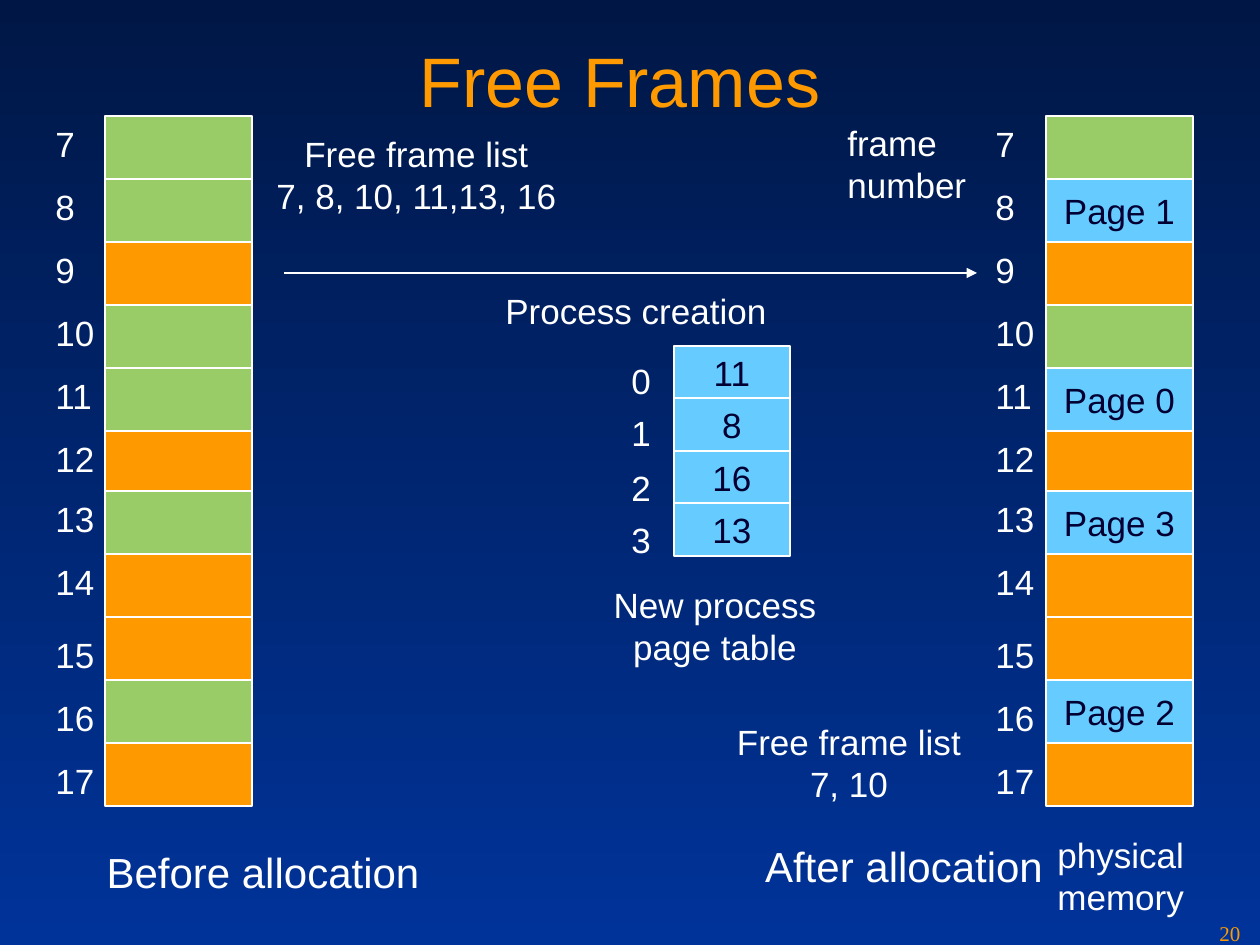
from pptx import Presentation
from pptx.dml.color import RGBColor
from pptx.enum.shapes import MSO_CONNECTOR, MSO_SHAPE
from pptx.enum.text import MSO_ANCHOR, MSO_AUTO_SIZE, PP_ALIGN
from pptx.oxml.ns import qn
from pptx.util import Pt
from lxml.etree import SubElement

PX = 914400 / 126
WHITE, NAVY, ORANGE, GREEN, BLUE = "FFFFFF", "000033", "FE9900", "99CC66", "66CCFF"
LEFT, MID = PP_ALIGN.LEFT, PP_ALIGN.CENTER

TITLE = "Free Frames"
FIRST = 7
FREE = {7, 8, 10, 11, 13, 16}
PAGES = {8: "Page 1", 11: "Page 0", 13: "Page 3", 16: "Page 2"}
COLUMNS = [(105, 43, {}), (1046, 983, PAGES)]
ENTRIES = ["11", "8", "16", "13"]
NOTES = [
    ("Before allocation", 90, 840, 346, 63, 24, MID),
    ("After allocation", 744, 834, 320, 63, 24, MID),
    ("physical\nmemory", 1045, 827, 166, 97, 20, LEFT),
    ("frame\nnumber", 835, 115, 152, 97, 20, LEFT),
    ("Free frame list\n7, 8, 10, 11,13, 16", 259, 126, 315, 97, 20, MID),
    ("Free frame list\n7, 10", 720, 714, 258, 97, 20, MID),
    ("New process\npage table", 597, 577, 236, 97, 20, MID),
    ("Process creation", 493, 283, 294, 55, 20, LEFT),
]


def px(*sizes):
    return [round(size * PX) for size in sizes]


def rgb(code):
    return RGBColor.from_string(code)


def write(frame, text, size, color, align, face="Arial"):
    para = frame.paragraphs[0]
    para.text = text
    para.alignment = align
    font = para.font
    font.name, font.size = face, Pt(size)
    font.color.rgb = rgb(color)


def label(text, x, y, w, h, size=20, align=LEFT):
    frame = slide.shapes.add_textbox(*px(x, y, w, h)).text_frame
    frame.word_wrap = False
    frame.auto_size = MSO_AUTO_SIZE.SHAPE_TO_FIT_TEXT
    write(frame, text, size, WHITE, align)


def cell(x, y, w, h, fill, text=""):
    box = slide.shapes.add_shape(MSO_SHAPE.RECTANGLE, *px(x, y, w, h))
    box.shadow.inherit = False
    box.fill.solid()
    box.fill.fore_color.rgb = rgb(fill)
    box.line.color.rgb = rgb(WHITE)
    box.line.width = Pt(0.75)
    if text:
        frame = box.text_frame
        frame.word_wrap = False
        frame.vertical_anchor = MSO_ANCHOR.MIDDLE
        write(frame, text, 20, NAVY, MID)


deck = Presentation()
deck.slide_width, deck.slide_height = px(1260, 945)
slide = deck.slides.add_slide(deck.slide_layouts[5])

back = slide.background.fill
back.gradient()
back.gradient_angle = 270
for stop, code, place in zip(back.gradient_stops, ("001746", "003399"), (0, 1)):
    stop.color.rgb = rgb(code)
    stop.position = place

title = slide.shapes.title
title.left, title.top, title.width, title.height = px(53, 31, 1134, 158)
title.text_frame.vertical_anchor = MSO_ANCHOR.TOP
write(title.text_frame, TITLE, 40, ORANGE, MID)

for left, side, pages in COLUMNS:
    for row in range(11):
        num = FIRST + row
        top = 116 + 63 * row - 3 * (row > 5)
        fill = BLUE if num in pages else GREEN if num in FREE else ORANGE
        cell(left, top, 147, 63, fill, pages.get(num, ""))
        label(str(num), side, top + 10 * (row > 7), 70 if num > 9 else 50, 55)

for row, entry in enumerate(ENTRIES):
    top = 346 + row * 105 // 2
    cell(674, top, 116, 53, BLUE, entry)
    label(str(row), 619, top + 7 + 2 * (row > 1), 50, 55)

for note in NOTES:
    label(*note)

arrow = slide.shapes.add_connector(MSO_CONNECTOR.STRAIGHT, *px(284, 273, 977, 273))
arrow.line.color.rgb = rgb(WHITE)
arrow.line.width = Pt(0.75)
SubElement(arrow.line._get_or_add_ln(), qn("a:tailEnd"), type="triangle")
SubElement(arrow._element.spPr, qn("a:effectLst"))

number = slide.shapes.add_textbox(*px(1207, 914, 53, 31)).text_frame
number.word_wrap = True
write(number, "20", 12, ORANGE, LEFT, "Times New Roman")

deck.save("out.pptx")
